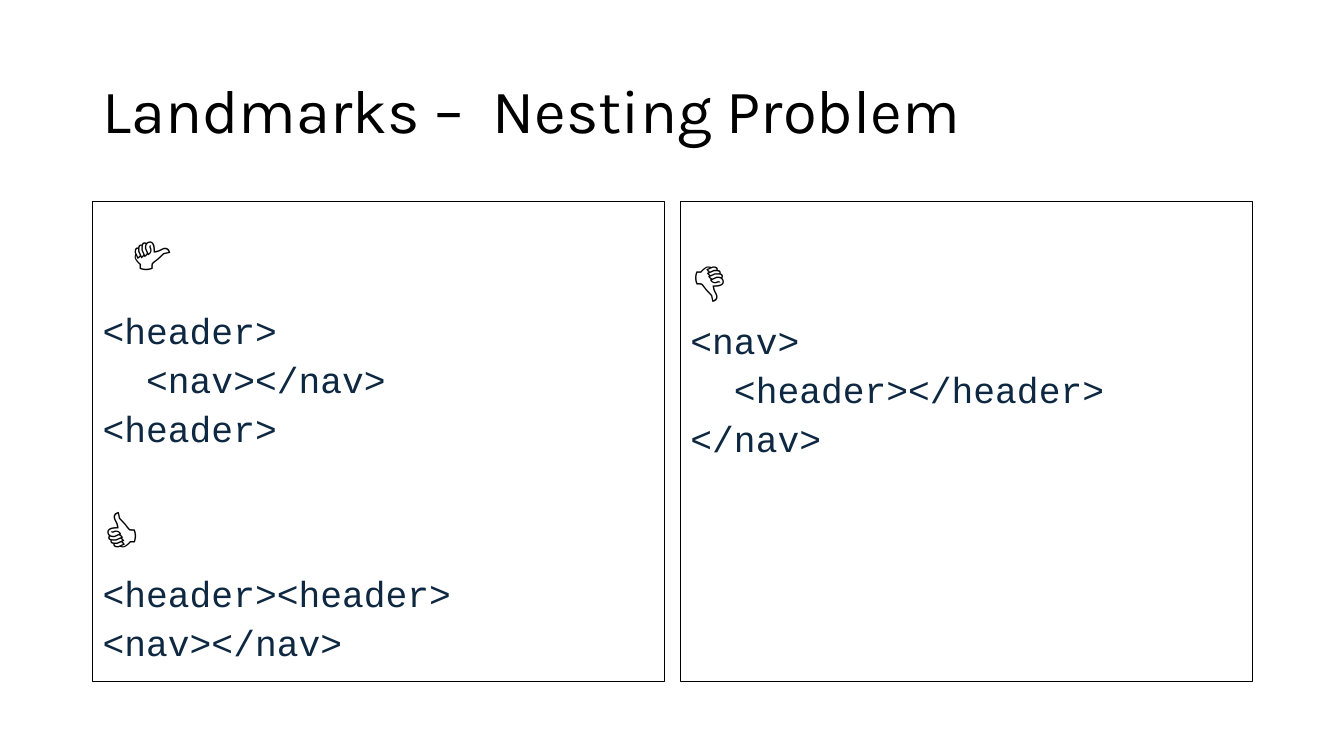
from pptx import Presentation
from pptx.dml.color import RGBColor
from pptx.enum import shapes, text
from pptx.util import Inches, Pt

HUES = {"ink": "000000", "code": "0E2841", "paper": "FFFFFF"}
TITLE = {"name": "Karla", "size": Pt(44), "hue": "ink"}
THUMB = {"name": "Karla", "size": Pt(40.7), "hue": "ink"}
CODE = {"name": "Courier New", "size": Pt(25.9), "hue": "code"}
LINE = {"line_spacing": Pt(25), "space_before": Pt(10)}
FIRST = {**LINE, "space_before": Pt(0)}
ICON = {"line_spacing": Pt(50), "space_before": Pt(0)}
LOWER = {**ICON, "space_before": Pt(33)}

GOOD = [
    ("<header>", CODE, FIRST),
    ("  <nav></nav>", CODE, LINE),
    ("<header>", CODE, LINE),
    ("👍", THUMB, LOWER),
    ("<header><header>", CODE, LINE),
    ("<nav></nav>", CODE, LINE),
]
BAD = [
    ("👎", THUMB, ICON),
    ("<nav>", CODE, LINE),
    ("  <header></header>", CODE, LINE),
    ("</nav>", CODE, LINE),
]


def color(key):
    """Return the named colour."""
    return RGBColor.from_string(HUES[key])


def apply(item, look):
    """Set each format value on an item."""
    for key, value in look.items():
        setattr(item, key, value)


def write(shape, rows, **frame):
    """Fill a shape with formatted paragraphs."""
    body = shape.text_frame
    apply(body, {"word_wrap": True, **frame})
    for i, (words, font, para) in enumerate(rows):
        line = body.add_paragraph() if i else body.paragraphs[0]
        apply(line, {"alignment": text.PP_ALIGN.LEFT, **para})
        run = line.add_run()
        run.text = words
        apply(run.font, {k: v for k, v in font.items() if k != "hue"})
        run.font.color.rgb = color(font["hue"])


def label(slide, area, row, turn=0, **frame):
    """Add a text box with one paragraph."""
    box = slide.shapes.add_textbox(*map(Inches, area))
    box.rotation = turn
    write(box, [row], **frame)


def panel(slide, left, rows, top):
    """Add an outlined panel of code."""
    area = map(Inches, (left, 2, 5.67, 4.76))
    box = slide.shapes.add_shape(shapes.MSO_SHAPE.RECTANGLE, *area)
    box.shadow.inherit = False
    box.fill.background()
    box.line.color.rgb = color("ink")
    box.line.width = Pt(0.75)
    write(box, rows, margin_top=Inches(top),
          vertical_anchor=text.MSO_ANCHOR.TOP)


def main():
    """Build and save the slide."""
    deck = Presentation()
    deck.slide_width, deck.slide_height = Inches(13.33), Inches(7.5)
    slide = deck.slides.add_slide(deck.slide_layouts[6])
    slide.background.fill.solid()
    slide.background.fill.fore_color.rgb = color("paper")
    label(slide, (0.92, 0.4, 11.5, 1.45),
          ("Landmarks –  Nesting Problem", TITLE, {"line_spacing": 0.9}),
          vertical_anchor=text.MSO_ANCHOR.MIDDLE)
    panel(slide, 0.92, GOOD, 1.14)
    panel(slide, 6.75, BAD, 0.41)
    label(slide, (1.07, 2, 0.83, 0.84),
          ("👎", THUMB, {"space_before": Pt(10)}), turn=270)
    deck.save("out.pptx")


if __name__ == "__main__":
    main()
